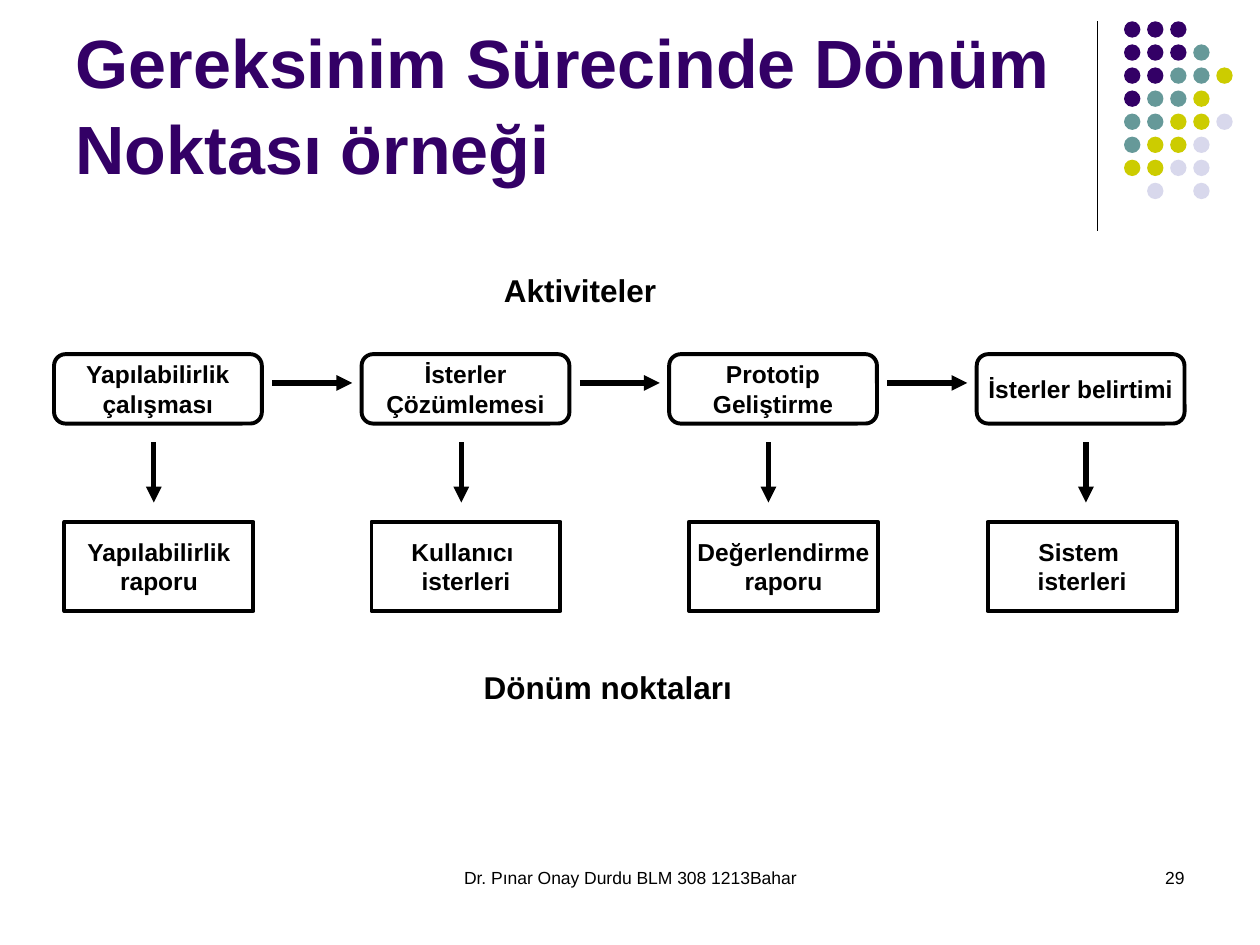
import pptx
import pptx.dml.color
import pptx.enum.shapes
import pptx.enum.text
import pptx.util
from lxml import etree
from pptx.oxml.ns import qn

Cm = pptx.util.Cm
Pt = pptx.util.Pt
SHAPE = pptx.enum.shapes.MSO_SHAPE
ALIGN = pptx.enum.text.PP_ALIGN
ANCHOR = pptx.enum.text.MSO_ANCHOR

BLACK, WHITE, PURPLE = "000000", "FFFFFF", "330066"
DOT_COLOURS = {"P": PURPLE, "T": "669999", "Y": "CCCC00", "L": "D8D8EC"}
DOT_ROWS = ["PPP", "PPPT", "PPTTY", "PTTY", "TTYYL", "TYYL", "YYLL", " L L"]
PITCH = 6.2
ACTIVITIES = [
    ["Yapılabilirlik", "çalışması"],
    ["İsterler", "Çözümlemesi"],
    ["Prototip", "Geliştirme"],
    ["İsterler belirtimi"],
]
# Milestone box left edge, arrow position and text lines
MILESTONES = [
    (1.3, 3.1, ["Yapılabilirlik", "raporu"]),
    (7.49, 9.3, ["Kullanıcı ", "isterleri"]),
    (13.89, 15.49, ["Değerlendirme", "raporu"]),
    (19.91, 21.89, ["Sistem ", "isterleri"]),
]


def rgb(value):
    """Return the colour for a hex string."""
    return pptx.dml.color.RGBColor.from_string(value)


def write(tf, lines, size, colour=BLACK, bold=False, align=ALIGN.LEFT):
    """Write each line as one paragraph with a single formatted run."""
    for i, line in enumerate(lines):
        p = tf.paragraphs[0] if i == 0 else tf.add_paragraph()
        p.alignment = align
        r = p.add_run()
        r.text = line
        r.font.name = "Arial"
        r.font.size = Pt(size)
        r.font.bold = bold
        r.font.color.rgb = rgb(colour)


def add_title(s, text):
    """Place and format the title placeholder."""
    sp = s.shapes.title
    sp.left, sp.top, sp.width, sp.height = Cm(1.27), Cm(0.33), Cm(20.96), Cm(3.6)
    tf = sp.text_frame
    tf.auto_size = pptx.enum.text.MSO_AUTO_SIZE.NONE
    tf.vertical_anchor = ANCHOR.BOTTOM
    write(tf, [text], 39, PURPLE, True)
    tf.paragraphs[0].line_spacing = 1.05


def add_text(s, text, x, y, w, h, size, bold=False, align=ALIGN.LEFT):
    """Add a wrapping text box."""
    tf = s.shapes.add_textbox(Cm(x), Cm(y), Cm(w), Cm(h)).text_frame
    tf.word_wrap = True
    write(tf, [text], size, bold=bold, align=align)


def add_shape(s, kind, x, y, w, h, fill=None):
    """Add a preset shape without shadow or outline."""
    sp = s.shapes.add_shape(kind, Cm(x), Cm(y), Cm(w), Cm(h))
    sp.shadow.inherit = False
    sp.line.fill.background()
    if fill:
        sp.fill.solid()
        sp.fill.fore_color.rgb = rgb(fill)
    else:
        sp.fill.background()
    return sp


def add_box(s, kind, lines, x, y, w, h, fill=None):
    """Add an outlined box with centred bold text."""
    sp = add_shape(s, kind, x, y, w, h, fill)
    sp.line.color.rgb = rgb(BLACK)
    sp.line.width = Pt(2.24)
    tf = sp.text_frame
    tf.word_wrap = False
    tf.vertical_anchor = ANCHOR.MIDDLE
    write(tf, lines, 14, bold=True, align=ALIGN.CENTER)


def add_line(s, x1, y1, x2, y2, width, arrow=False):
    """Add a straight line, with an arrowhead at its end if asked."""
    cxn = s.shapes.add_connector(
        pptx.enum.shapes.MSO_CONNECTOR.STRAIGHT, Cm(x1), Cm(y1), Cm(x2), Cm(y2))
    cxn.line.color.rgb = rgb(BLACK)
    cxn.line.width = Pt(width)
    if arrow:
        ln = cxn.line._get_or_add_ln()
        etree.SubElement(ln, qn("a:tailEnd"), type="triangle")
    etree.SubElement(cxn._element.spPr, qn("a:effectLst"))


def add_dots(s):
    """Draw the coloured dot pattern in the top right corner."""
    for row, codes in enumerate(DOT_ROWS):
        for col, code in enumerate(codes):
            if code in DOT_COLOURS:
                add_shape(s, SHAPE.OVAL, 22.66 + 0.465 * col, 0.43 + 0.465 * row,
                          0.33, 0.33, DOT_COLOURS[code])


def add_flow(s):
    """Draw the activities, their milestones and the arrows between them."""
    for i, lines in enumerate(ACTIVITIES):
        x = 1.09 + PITCH * i
        add_box(s, SHAPE.ROUNDED_RECTANGLE, lines, x, 7.14, 4.19, 1.4)
        if i < len(ACTIVITIES) - 1:
            add_line(s, x + 4.4, 7.72, x + 6.01, 7.72, 3, True)
    for x, arrow_x, lines in MILESTONES:
        add_box(s, SHAPE.RECTANGLE, lines, x, 10.52, 3.81, 1.8, WHITE)
        add_line(s, arrow_x, 8.92, arrow_x, 10.13, 3, True)


def main():
    """Build and save the slide."""
    prs = pptx.Presentation()
    prs.slide_width, prs.slide_height = Cm(25.4), Cm(19.05)
    s = prs.slides.add_slide(prs.slide_layouts[5])
    add_line(s, 22.12, 0.43, 22.12, 4.65, 0.74)
    add_dots(s)
    add_title(s, "Gereksinim Sürecinde Dönüm Noktası örneği")
    add_flow(s)
    add_text(s, "Aktiviteler", 9.91, 5.33, 5.59, 1.02, 18, True)
    add_text(s, "Dönüm noktaları", 9.5, 13.34, 5.59, 1.02, 18, True)
    add_text(s, "Dr. Pınar Onay Durdu BLM 308 1213Bahar",
             8.68, 17.35, 8.05, 1.27, 10, align=ALIGN.CENTER)
    add_text(s, "29", 18.2, 17.35, 5.93, 1.27, 10, align=ALIGN.RIGHT)
    prs.save("out.pptx")


main()
